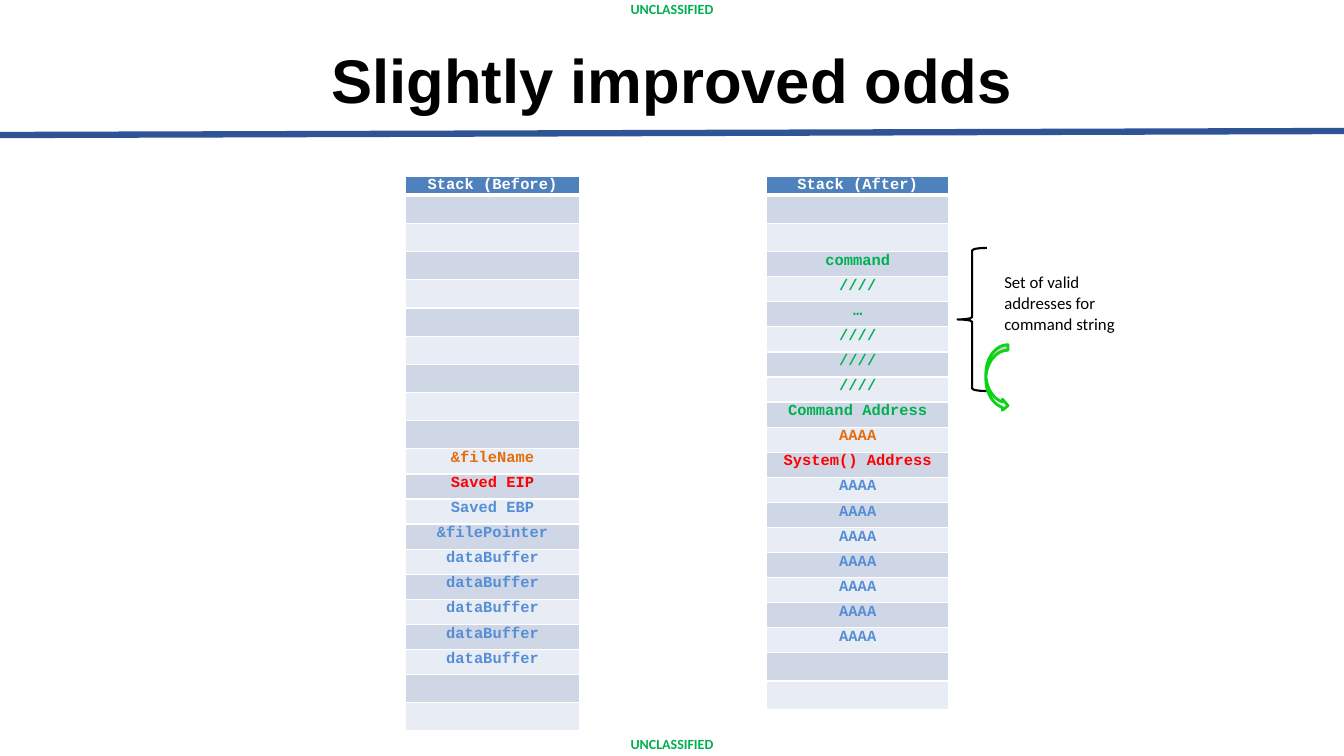
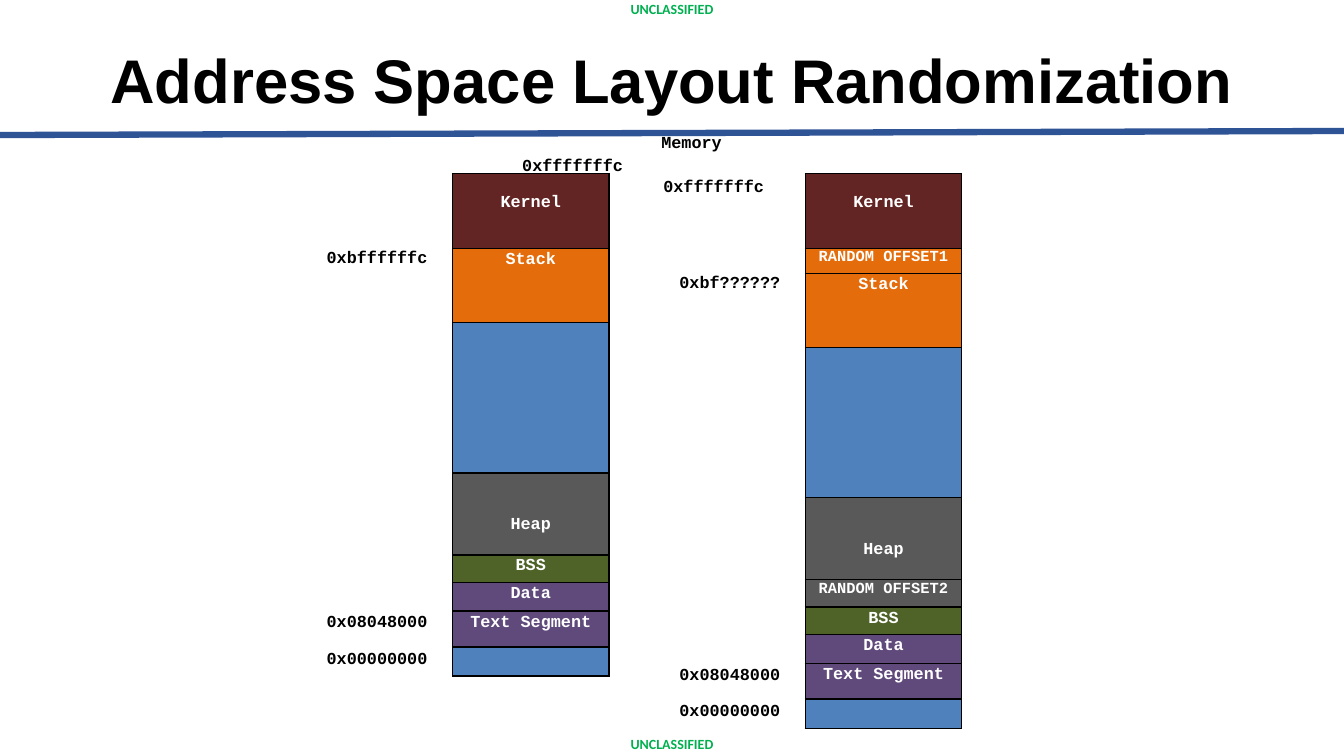
from dataclasses import dataclass

from pptx import Presentation
from pptx.dml.color import RGBColor
from pptx.enum.shapes import MSO_CONNECTOR, MSO_SHAPE
from pptx.enum.text import MSO_ANCHOR, PP_ALIGN
from pptx.oxml.ns import qn
from pptx.util import Inches, Pt
from lxml.etree import SubElement

COLORS = {
    "black": "000000", "white": "FFFFFF", "rule": "2F5496", "marking": "00B050",
    "header": "4F81BD", "band_dark": "CFD7E7", "band_light": "E8ECF4",
    "command": "00B050", "argument": "E46C0A", "return": "FF0000", "buffer": "558ED5",
    "kernel": "632523", "stack": "E46C0A", "free": "4F81BD", "heap": "595959",
    "bss": "4F6228", "code": "604A7B", "arrow": "0AD414",
}
FORMATS = {
    "title": {"name": "Arial", "size": Pt(44), "bold": True},
    "marking": {"name": "Calibri", "size": Pt(10), "bold": True},
    "note": {"name": "Calibri", "size": Pt(12), "bold": False},
    "code": {"name": "Courier New", "size": Pt(12), "bold": True},
    "small_code": {"name": "Courier New", "size": Pt(11), "bold": True},
}
PADDED = {"margin_left": Inches(0.1), "margin_right": Inches(0.1),
          "margin_top": Inches(0.05), "margin_bottom": Inches(0.05),
          "vertical_anchor": MSO_ANCHOR.MIDDLE}
TIGHT = {"margin_left": Inches(0.01), "margin_right": 0,
         "margin_top": Inches(0.01), "margin_bottom": 0,
         "vertical_anchor": MSO_ANCHOR.TOP}


@dataclass
class Row:
    """One table row; height and top gap are percents of the slide height."""
    text: str
    height: float
    fill: str
    color: str = "white"
    style: str = "code"
    spacing: float = 1.11
    gap: float = 0


def rgb(color):
    return RGBColor.from_string(COLORS[color])


def apply(target, values):
    for name, value in values.items():
        setattr(target, name, value)


class Deck:
    """Style and current slide; all lengths are percents of the slide size."""

    def __init__(self):
        self.file = Presentation()
        self.file.slide_width, self.file.slide_height = Inches(13.333), Inches(7.5)
        self.slide = None

    def x(self, share):
        return round(self.file.slide_width * share / 100)

    def y(self, share):
        return round(self.file.slide_height * share / 100)

    def box(self, left, top, width, height):
        return self.x(left), self.y(top), self.x(width), self.y(height)

    def new_slide(self, title):
        self.slide = self.file.slides.add_slide(self.file.slide_layouts[6])
        rule = self.slide.shapes.add_connector(
            MSO_CONNECTOR.STRAIGHT, 0, self.y(17.86), self.x(100), self.y(17.33))
        rule.line.color.rgb, rule.line.width = rgb("rule"), Pt(4.5)
        SubElement(rule._element.spPr, qn("a:effectLst"))
        for top in (0.4, 97.73):
            self.text((0, top, 100, 1.73), ["UNCLASSIFIED"], "marking", "marking",
                      PADDED, PP_ALIGN.CENTER, 0.9)
        self.text((6.9, 4.53, 86.25, 12.93), [title], "title", "black",
                  PADDED, PP_ALIGN.CENTER, 0.9)

    def fill_paragraph(self, paragraph, text, style, color, align, spacing):
        paragraph.alignment, paragraph.line_spacing = align, spacing
        run = paragraph.add_run()
        run.text = text
        apply(run.font, FORMATS[style])
        run.font.color.rgb = rgb(color)

    def text(self, place, lines, style, color="black", frame=TIGHT,
             align=PP_ALIGN.LEFT, spacing=1.0, space_before=0):
        body = self.slide.shapes.add_textbox(*self.box(*place)).text_frame
        apply(body, {"word_wrap": True, **frame})
        for index, line in enumerate(lines):
            paragraph = body.add_paragraph() if index else body.paragraphs[0]
            self.fill_paragraph(paragraph, line, style, color, align, spacing)
            if index:
                paragraph.space_before = Pt(space_before)

    def addresses(self, left, top, *lines):
        self.text((left, top, 7.75, 2.9 * len(lines)), lines, "code", space_before=12)

    def border(self, cell, color, widths):
        """Give the cell its left, right, top and bottom lines, in points."""
        properties = cell._tc.get_or_add_tcPr()
        for side, width in zip("LRTB", widths):
            line = SubElement(properties, qn(f"a:ln{side}"), w=str(Pt(width)))
            fill = SubElement(line, qn("a:solidFill"))
            SubElement(fill, qn("a:srgbClr"), val=COLORS[color])

    def table(self, left, top, width, rows, border, header_line=1):
        total = sum(row.height for row in rows)
        grid = self.slide.shapes.add_table(
            len(rows), 1, *self.box(left, top, width, total)).table
        grid.first_row = grid.horz_banding = False
        for index, row in enumerate(rows):
            grid.rows[index].height = self.y(row.height)
            cell = grid.cell(index, 0)
            apply(cell, {"margin_left": 0, "margin_right": 0, "margin_bottom": 0,
                         "margin_top": self.y(row.gap)})
            self.border(cell, border, (1, 1, header_line if index == 1 else 1,
                                       header_line if index == 0 else 1))
            cell.fill.solid()
            cell.fill.fore_color.rgb = rgb(row.fill)
            paragraph = cell.text_frame.paragraphs[0]
            if row.text:
                self.fill_paragraph(paragraph, row.text, row.style, row.color,
                                    PP_ALIGN.CENTER, row.spacing)
            else:
                SubElement(paragraph._p, qn("a:endParaRPr"), sz="1000")

    def outline(self, preset, place, color, width):
        shape = self.slide.shapes.add_shape(preset, *self.box(*place))
        shape.shadow.inherit = False
        shape.fill.background()
        shape.line.color.rgb, shape.line.width = rgb(color), Pt(width)

    def shade(self, place, corners, opacity):
        """Fill a polygon whose corners are shares of its place."""
        left, top, width, height = self.box(*place)
        points = [(left + round(width * h), top + round(height * v)) for h, v in corners]
        builder = self.slide.shapes.build_freeform(*points[0])
        builder.add_line_segments(points[1:])
        shape = builder.convert_to_shape()
        shape.shadow.inherit = False
        shape.line.fill.background()
        shape.fill.solid()
        shape.fill.fore_color.rgb = rgb("black")
        tone = shape._element.spPr.find(f"{qn('a:solidFill')}/{qn('a:srgbClr')}")
        SubElement(tone, qn("a:alpha"), val=str(opacity * 1000))


def stack_rows(heading, entries):
    """Header and banded rows from (text, colour) pairs; blank rows are taller."""
    rows = [Row(heading, 2.53, "header", style="small_code", spacing=1.04)]
    for index, (text, color) in enumerate(entries):
        rows.append(Row(text, 3.32 if text else 3.73,
                        "band_light" if index % 2 else "band_dark",
                        color, "small_code", 1.04))
    return rows


def add_odds_slide(deck):
    deck.new_slide("Slightly improved odds")
    blank = ("", "black")
    slashes = ("////", "command")
    after = [blank] * 2 + [
        ("command", "command"), slashes, ("…", "command"), *[slashes] * 3,
        ("Command Address", "command"), ("AAAA", "argument"),
        ("System() Address", "return"), *[("AAAA", "buffer")] * 7] + [blank] * 2
    before = [blank] * 9 + [
        ("&fileName", "argument"), ("Saved EIP", "return"), ("Saved EBP", "buffer"),
        ("&filePointer", "buffer"), *[("dataBuffer", "buffer")] * 5] + [blank] * 2
    deck.table(57.05, 23.28, 13.55, stack_rows("Stack (After)", after), "white", 3)
    deck.table(30.15, 23.28, 13, stack_rows("Stack (Before)", before), "white", 3)

    deck.outline(MSO_SHAPE.LEFT_BRACE, (71.25, 32.8, 2.18, 18.93), "black", 1.5)
    arrow = (73.35, 45.6, 1.65, 8.8)
    deck.shade(arrow, [(1, 0), (0.55, 0.05), (0.23, 0.15), (0.05, 0.3), (0, 0.48),
                       (0.14, 0.3), (0.41, 0.17), (0.77, 0.09), (1, 0.08)], 20)
    deck.outline(MSO_SHAPE.CURVED_RIGHT_ARROW, arrow, "arrow", 2)
    deck.text((74.65, 35.73, 8.5, 8.4), ["Set of valid addresses for command string"],
              "note", spacing=1.04)


def add_randomization_slide(deck):
    deck.new_slide("Address Space Layout Randomization")
    kernel = Row("Kernel", 9.88, "kernel", gap=2.4)
    stack = Row("Stack", 9.88, "stack")
    free = Row("", 19.85, "free")
    heap = Row("Heap", 10.85, "heap", gap=5.4)
    program = [Row("BSS", 3.6, "bss"), Row("Data", 3.83, "code"),
               Row("Text Segment", 4.76, "code"), Row("", 3.85, "free")]
    offsets = [Row(f"RANDOM OFFSET{number}", height, fill, "white", "small_code", 1.04)
               for number, height, fill in ((1, 3.3, "stack"), (2, 3.6, "heap"))]
    fixed = [kernel, stack, free, heap, *program]
    randomized = [kernel, offsets[0], stack, free, heap, offsets[1], *program]

    deck.addresses(49.13, 17.33, "Memory")
    deck.addresses(38.78, 20.4, "0xfffffffc")
    deck.addresses(49.28, 23.07, "0xfffffffc")
    layouts = ((fixed, "0xbffffffc", 32.53, 80.67),
               (randomized, "0xbf??????", 35.87, 87.6))
    for index, (regions, stack_top, stack_y, text_y) in enumerate(layouts):
        shift = index * 26.25
        deck.table(33.67 + shift, 22.95, 11.64, regions, "black")
        deck.addresses(24.23 + shift, stack_y, stack_top)
        deck.addresses(24.23 + shift, text_y, "0x08048000", "0x00000000")


def main():
    deck = Deck()
    add_odds_slide(deck)
    add_randomization_slide(deck)
    deck.file.save("out.pptx")


if __name__ == "__main__":
    main()
